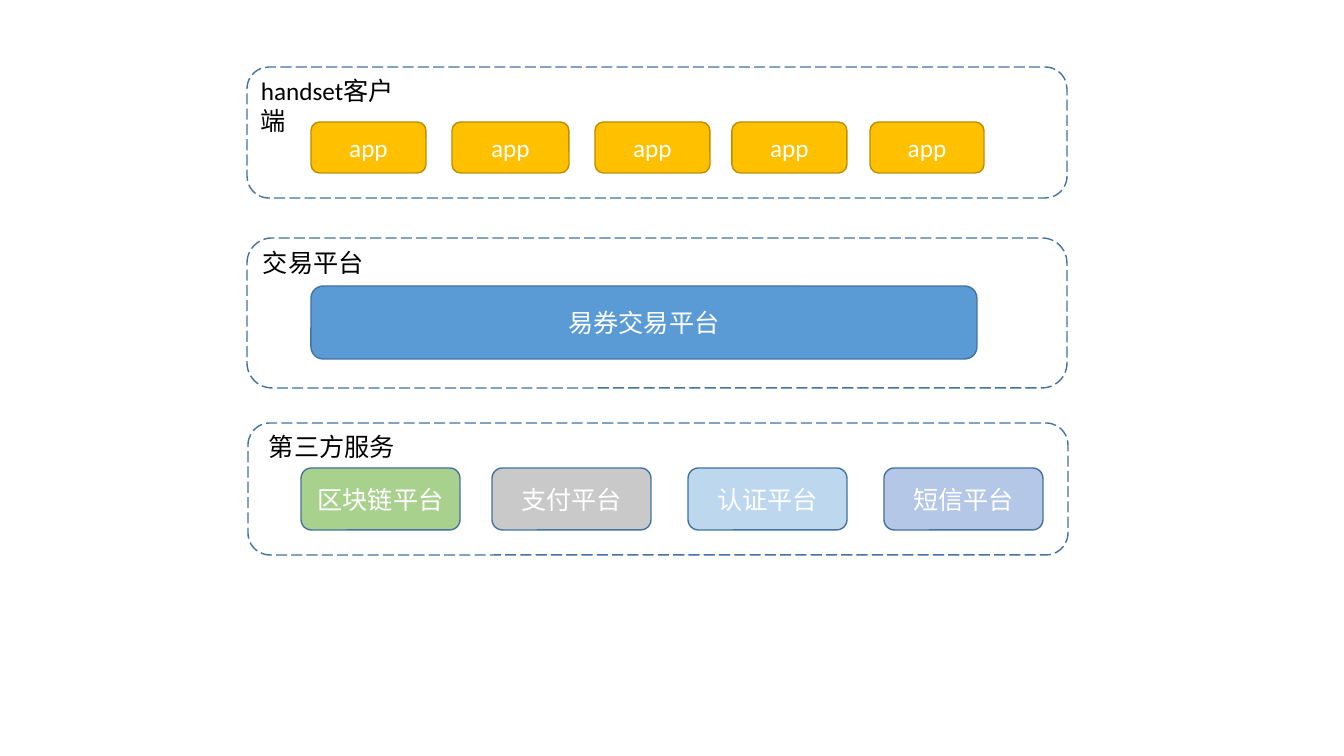
from pptx import Presentation
from pptx import util as u
from pptx.dml.color import RGBColor
from pptx.enum import dml, shapes, text

SCALE = 914400 / 100.8
FONT = "Calibri"

WHITE = RGBColor(0xFF, 0xFF, 0xFF)
BLACK = RGBColor(0, 0, 0)
GOLD = RGBColor(0xFF, 0xC0, 0x00)
BRONZE = RGBColor(0xBD, 0x8E, 0x00)
BLUE = RGBColor(0x5B, 0x9B, 0xD5)
NAVY = RGBColor(0x43, 0x73, 0x9E)
GREEN = RGBColor(0xA9, 0xD1, 0x8E)
GRAY = RGBColor(0xC9, 0xC9, 0xC9)
SKY = RGBColor(0xBD, 0xD7, 0xEE)
LILAC = RGBColor(0xB4, 0xC7, 0xE7)

# Layers: left, top, width, height
LAYERS = [(247, 67, 820, 131), (247, 238, 820, 150), (248, 423, 820, 132)]

# Layer labels: words, left, top, width
LABELS = [
    ("handset客户端", 251, 70, 175),
    ("交易平台", 253, 242, 121),
    ("第三方服务", 259, 426, 146),
]

# App boxes: left, width
APPS = [(311, 115), (452, 117), (595, 115), (732, 115), (870, 114)]

# Outside services: words, left, fill
SERVICES = [
    ("区块链平台", 301, GREEN),
    ("支付平台", 492, GRAY),
    ("认证平台", 688, SKY),
    ("短信平台", 884, LILAC),
]


def px(n):
    return u.Emu(round(n * SCALE))


def write(shape, words, color=BLACK, size=18, align=text.PP_ALIGN.LEFT,
          anchor=text.MSO_ANCHOR.TOP, wrap=True):
    frame = shape.text_frame
    frame.word_wrap = wrap
    frame.vertical_anchor = anchor
    para = frame.paragraphs[0]
    para.alignment = align
    run = para.add_run()
    run.text = words
    run.font.name = FONT
    run.font.size = u.Pt(size)
    run.font.color.rgb = color


def panel(slide, box, fill=None, line=NAVY, dash=None):
    shape = slide.shapes.add_shape(
        shapes.MSO_SHAPE.ROUNDED_RECTANGLE, *map(px, box))
    shape.shadow.inherit = False
    if fill is None:
        shape.fill.background()
    else:
        shape.fill.solid()
        shape.fill.fore_color.rgb = fill
    shape.line.color.rgb = line
    shape.line.width = u.Pt(1)
    if dash is not None:
        shape.line.dash_style = dash
    return shape


def block(slide, words, box, fill, line=NAVY):
    write(panel(slide, box, fill, line), words, color=WHITE,
          align=text.PP_ALIGN.CENTER, anchor=text.MSO_ANCHOR.MIDDLE)


def label(slide, words, left, top, width):
    write(slide.shapes.add_textbox(*map(px, (left, top, width, 40))), words)


def main():
    deck = Presentation()
    deck.slide_width, deck.slide_height = px(1344), px(756)
    slide = deck.slides.add_slide(deck.slide_layouts[6])

    # Dashed layer frames
    for box in LAYERS:
        panel(slide, box, dash=dml.MSO_LINE.LONG_DASH)

    # Client apps
    for left, width in APPS:
        block(slide, "app", (left, 122, width, 51), GOLD, BRONZE)

    # Trading platform
    block(slide, "易券交易平台", (311, 286, 666, 73), BLUE)

    # Outside services
    for words, left, fill in SERVICES:
        block(slide, words, (left, 468, 159, 62), fill)

    # Layer labels
    for item in LABELS:
        label(slide, *item)

    deck.save("out.pptx")


main()
